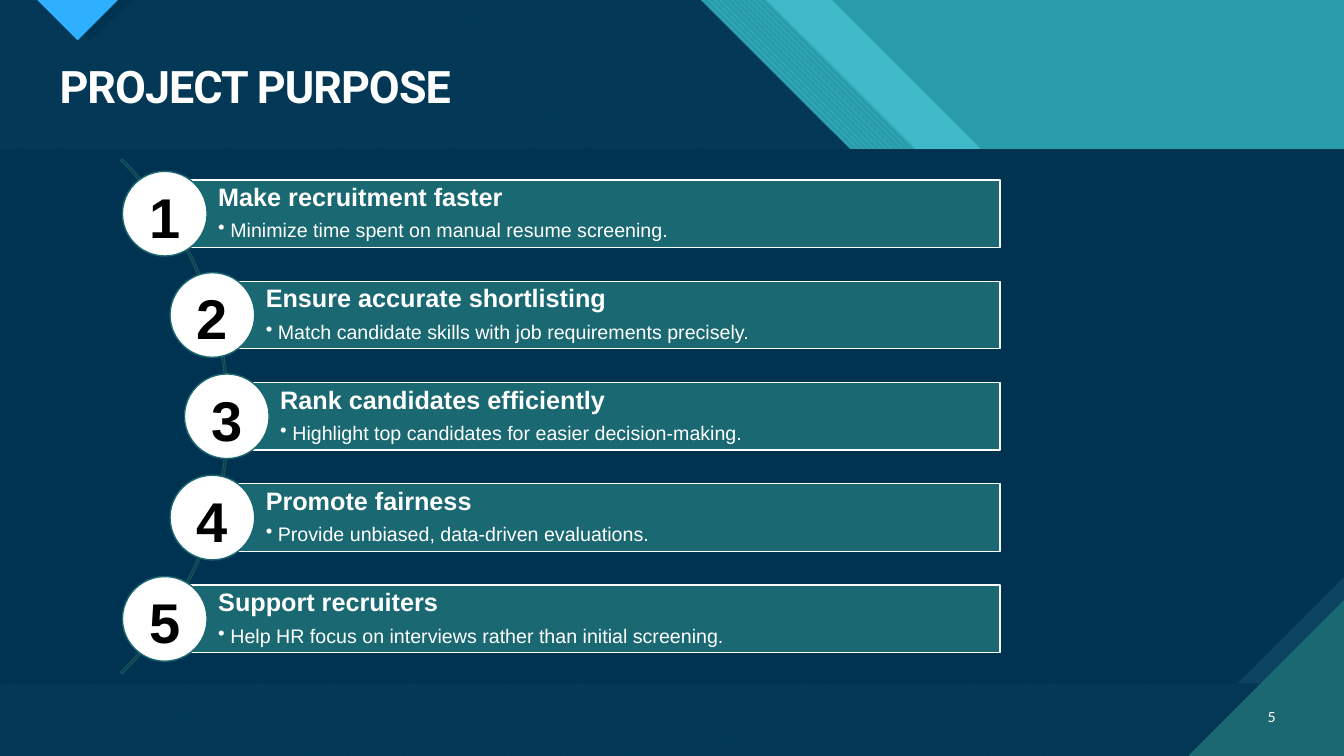
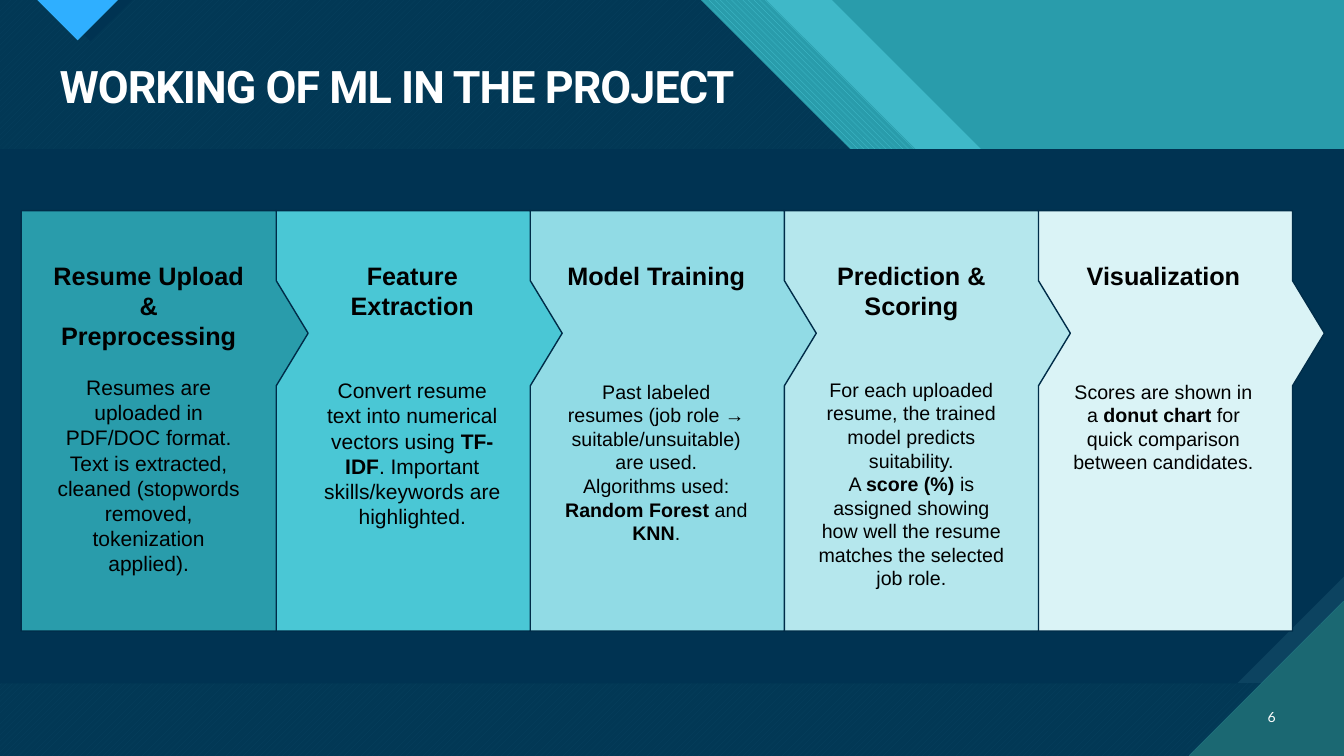
from math import sqrt

from lxml.etree import SubElement
from pptx import Presentation
from pptx.dml.color import RGBColor
from pptx.enum.dml import MSO_PATTERN as PAT
from pptx.enum.shapes import MSO_SHAPE as SHAPE
from pptx.enum.text import MSO_ANCHOR as ANCHOR, MSO_AUTO_SIZE as AUTO, PP_ALIGN as ALIGN
from pptx.oxml.ns import qn
from pptx.util import Inches, Pt

WIDE, HIGH = 13.33, 7.5
NAVY, DEEP, TEAL, AQUA = "003352", "1B6872", "299CAB", "47C3D3"
BAR, WHITE, BLACK = "1A6871", "FFFFFF", "000000"
HEAD = {"name": "Roboto", "size": Pt(32), "bold": True}
PAGE = {"name": "Lato", "size": Pt(10)}
NUM = {"name": "Arial", "size": Pt(40), "bold": True}
LEAD = {"name": "Arial", "size": Pt(18), "bold": True}
BODY = {"name": "Arial", "size": Pt(14), "bold": False}


def paint(fill, fore, back=None, pat=None):
    """Fill a shape, line or font with a colour, or with a two-colour pattern."""
    if pat:
        fill.patterned()
        fill.pattern = pat
        fill.back_color.rgb = RGBColor.from_string(back)
    else:
        fill.solid()
    fill.fore_color.rgb = RGBColor.from_string(fore)


def write(para, text, color, form):
    """Add runs to a paragraph; parts between asterisks are bold."""
    for i, part in enumerate(text.split("*")):
        run = para.add_run()
        run.text = part
        for key, val in form.items():
            setattr(run.font, key, val)
        if i % 2:
            run.font.bold = True
        paint(run.font.fill, color)


prs = Presentation()
prs.slide_width, prs.slide_height = Inches(WIDE), Inches(HIGH)
layout = prs.slide_layouts[5]
paint(layout.background.fill, TEAL)
goals, flow = [prs.slides.add_slide(layout) for _ in range(2)]

# Shared backdrop: drawn once, then moved to the layout
top, tall, bend = 1.48, 5.3, 2.97
wedges = []
for edge, style, alpha in [
    (8.25, (AQUA,), 74),
    (7.6, (AQUA, TEAL, PAT.WIDE_DOWNWARD_DIAGONAL), None),
    (6.95, (AQUA, DEEP, PAT.WIDE_UPWARD_DIAGONAL), None),
    (6.95, (NAVY,), 90),
]:
    outline = [(0, 0), (edge, 0), (edge + bend, bend), (WIDE, bend), (WIDE, HIGH), (0, HIGH)]
    wedges.append((outline, style, alpha))
wedges += [
    ([(0.48, 0), (1.31, 0), (0.9, 0.41)], (NAVY,), None),
    ([(0.37, 0), (1.17, 0), (0.77, 0.4)], ("2FAFFF", DEEP, PAT.DARK_HORIZONTAL), None),
]
corner = ([(11.79, HIGH), (WIDE, HIGH), (WIDE, 5.96)], (DEEP, AQUA, PAT.DARK_HORIZONTAL), None)
panels = [(0, ("0C4360", DEEP, PAT.DARK_VERTICAL), None), (0.2, (NAVY,), None)]

for i, (form, style, alpha) in enumerate(wedges + panels + [corner]):
    if isinstance(form, list):
        points = [(Inches(x), Inches(y)) for x, y in form]
        pen = goals.shapes.build_freeform(*points[0])
        pen.add_line_segments(points[1:])
        part = pen.convert_to_shape()
    else:
        part = goals.shapes.add_shape(
            SHAPE.SNIP_1_RECTANGLE, 0, Inches(top), Inches(WIDE), Inches(tall))
        part.adjustments[0] = form
        part.element.spPr.xfrm.set("flipV", "1")
    paint(part.fill, *style)
    part.line.fill.background()
    part.shadow.inherit = False
    if alpha:
        tint = part.element.xpath("./p:spPr/a:solidFill/a:srgbClr")[0]
        SubElement(tint, qn("a:alpha")).set("val", str(alpha * 1000))
    part.element.nvSpPr.cNvPr.set("id", str(100 + i))
    layout.shapes.element.insert(2 + i, part.element)

for key, val in zip(("left", "top", "width", "height"), (0.49, 0.59, 12.26, 0.59)):
    setattr(layout.placeholders[0], key, Inches(val))

for slide, name, page in [
    (goals, "PROJECT PURPOSE", "5"),
    (flow, "WORKING OF ML IN THE PROJECT", "6"),
]:
    title = slide.shapes.title
    frame = title.text_frame
    frame.auto_size, frame.vertical_anchor = AUTO.NONE, ANCHOR.TOP
    para = frame.paragraphs[0]
    para.alignment, para.line_spacing = ALIGN.LEFT, 0.9
    write(para, name, WHITE, HEAD)
    title.element.xpath(".//a:rPr")[0].set("spc", "-70")

    frame = slide.shapes.add_textbox(
        Inches(12.31), Inches(6.91), Inches(0.44), Inches(0.4)).text_frame
    frame.word_wrap, frame.vertical_anchor = True, ANCHOR.MIDDLE
    frame.paragraphs[0].alignment = ALIGN.RIGHT
    write(frame.paragraphs[0], page, WHITE, PAGE)

# Purpose: five bars whose left ends follow an arc
mid_x, mid_y, span, reach = -1.34, 4.13, 7.22, 3.59
pitch, thick, disc, right = 1.005, 0.67, 0.84, 9.92
arc = goals.shapes.add_shape(
    SHAPE.BLOCK_ARC, Inches(mid_x - span / 2), Inches(mid_y - span / 2), Inches(span), Inches(span))
for i, val in enumerate((189, 27, 0.003)):
    arc.adjustments[i] = val
arc.fill.background()
paint(arc.line.fill, "15535A")
arc.line.width = Pt(1)
arc.shadow.inherit = False

for i, (name, note) in enumerate([
    ("Make recruitment faster", "Minimize time spent on manual resume screening."),
    ("Ensure accurate shortlisting", "Match candidate skills with job requirements precisely."),
    ("Rank candidates efficiently", "Highlight top candidates for easier decision-making."),
    ("Promote fairness", "Provide unbiased, data-driven evaluations."),
    ("Support recruiters", "Help HR focus on interviews rather than initial screening."),
]):
    rise = (i - 2) * pitch
    left, level = mid_x + sqrt(reach ** 2 - rise ** 2), mid_y + rise
    bar = goals.shapes.add_shape(
        SHAPE.RECTANGLE, Inches(left), Inches(level - thick / 2), Inches(right - left), Inches(thick))
    ring = goals.shapes.add_shape(
        SHAPE.OVAL, Inches(left - disc / 2), Inches(level - disc / 2), Inches(disc), Inches(disc))
    for item, fore, edge in ((bar, BAR, WHITE), (ring, WHITE, BAR)):
        paint(item.fill, fore)
        paint(item.line.fill, edge)
        item.line.width = Pt(1)
        item.shadow.inherit = False

    frame = bar.text_frame
    frame.vertical_anchor = ANCHOR.TOP
    for side, val in (("left", 0.53), ("top", 0.05), ("right", 0.05), ("bottom", 0.05)):
        setattr(frame, "margin_" + side, Inches(val))
    first, second = frame.paragraphs[0], frame.add_paragraph()
    props = second._p.get_or_add_pPr()
    props.set("marL", str(Inches(0.12)))
    props.set("indent", str(-Inches(0.12)))
    SubElement(props, qn("a:buChar")).set("char", "•")
    for para, text, form, after in ((first, name, LEAD, 6.3), (second, note, BODY, 2.1)):
        para.alignment, para.line_spacing, para.space_after = ALIGN.LEFT, 0.9, Pt(after)
        write(para, text, WHITE, form)

    frame = ring.text_frame
    frame.word_wrap, frame.vertical_anchor = False, ANCHOR.MIDDLE
    frame.margin_left = frame.margin_right = frame.margin_bottom = 0
    frame.margin_top = Inches(0.05)
    frame.paragraphs[0].alignment = ALIGN.CENTER
    write(frame.paragraphs[0], str(i + 1), BLACK, NUM)

# Workflow: callouts pointing right, the last one at the back
long, short, step = 4.17, 2.53, 2.52
shades = [TEAL, "4AC7D5", "91DBE5", "B5E7ED", "DAF3F6"]
for i, shade in reversed(list(enumerate(shades))):
    card = flow.shapes.add_shape(
        SHAPE.RECTANGULAR_CALLOUT, Inches(-0.61 + i * step), Inches(2.91), Inches(long), Inches(short))
    card.rotation = 270
    card.element.spPr.xfrm.set("flipH", "1")
    paint(card.fill, shade)
    paint(card.line.fill, "002C48")
    card.line.width = Pt(1)
    card.shadow.inherit = False

for left, width, size, gap, name, *notes in [
    (0.41, 2.13, 15, 17, "Resume Upload & Preprocessing",
     "Resumes are uploaded in PDF/DOC format.",
     "Text is extracted, cleaned (stopwords removed, tokenization applied)."),
    (3.06, 2.06, 15, 41, "Feature Extraction",
     "Convert resume text into numerical vectors using *TF-IDF*. "
     "Important skills/keywords are highlighted."),
    (5.48, 2.06, 14, 64, "Model Training",
     "Past labeled resumes (job role → suitable/unsuitable) are used.",
     "Algorithms used: *Random Forest* and *KNN*."),
    (8.01, 2.06, 14, 41, "Prediction & Scoring",
     "For each uploaded resume, the trained model predicts suitability.",
     "A *score (%)* is assigned showing how well the resume matches the selected job role."),
    (10.51, 2.06, 14, 64, "Visualization",
     "Scores are shown in a *donut chart* for quick comparison between candidates."),
]:
    frame = flow.shapes.add_textbox(
        Inches(left), Inches(2.53), Inches(width), Inches(3.5)).text_frame
    frame.word_wrap = True
    para = frame.paragraphs[0]
    para.alignment = ALIGN.CENTER
    write(para, name, BLACK, LEAD)
    for i, note in enumerate(notes):
        para = frame.add_paragraph()
        para.alignment = ALIGN.CENTER
        para.space_before = Pt(0 if i else gap)
        write(para, note, BLACK, {**BODY, "size": Pt(size)})

prs.save("out.pptx")
